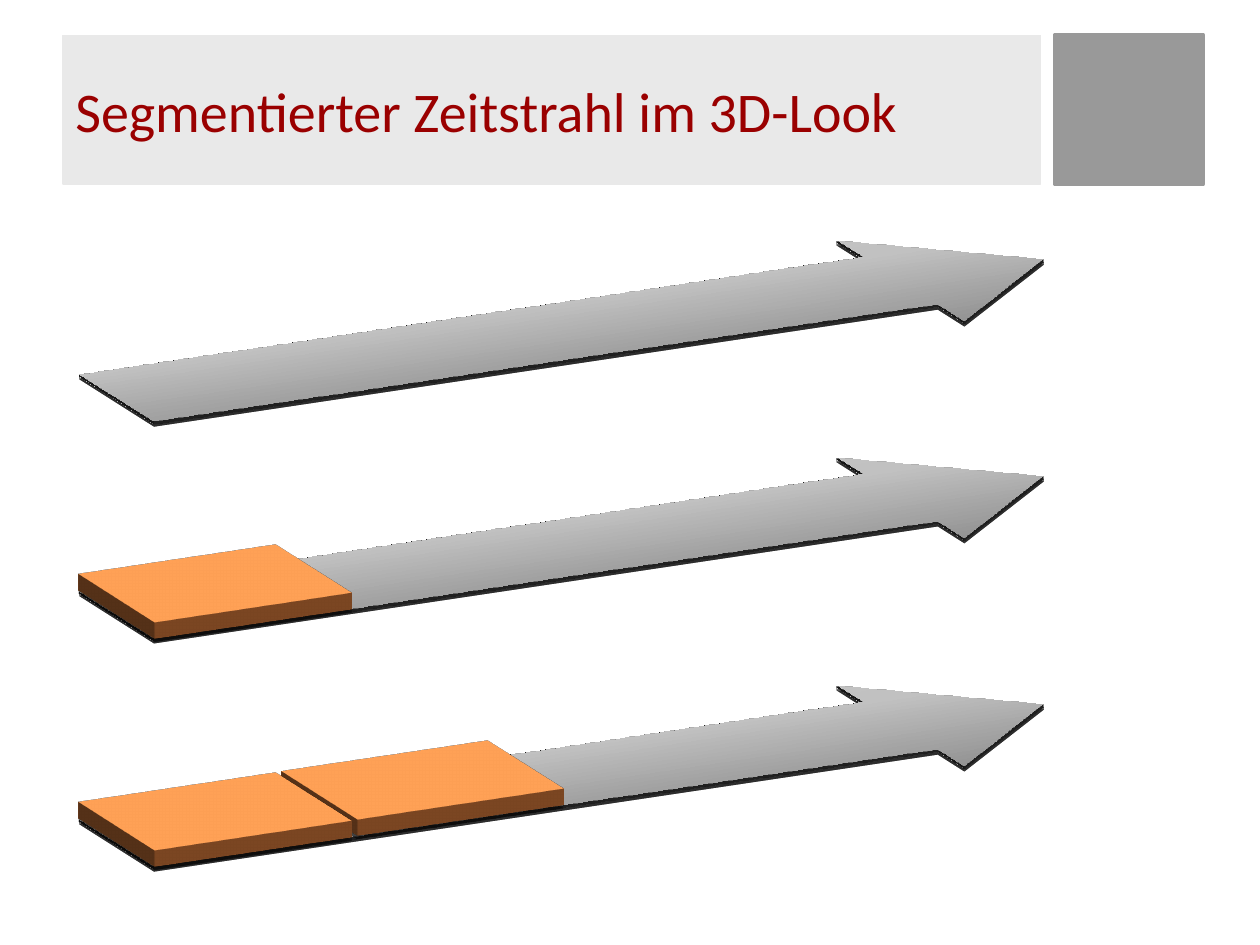
from dataclasses import dataclass

from lxml import etree
from pptx import Presentation
from pptx.dml.color import RGBColor
from pptx.enum.shapes import MSO_SHAPE
from pptx.enum.text import MSO_ANCHOR, PP_ALIGN
from pptx.util import Cm, Pt

RECT = MSO_SHAPE.RECTANGLE
ARROW = MSO_SHAPE.RIGHT_ARROW
MIDDLE = MSO_ANCHOR.MIDDLE
LEFT = PP_ALIGN.LEFT

COLORS = {
    "title": "9A0000",
    "title_bar": "E9E9E9",
    "corner": "999999",
    "arrow_bottom": "949494",
    "arrow_middle": "C1C1C1",
    "arrow_top": "C2C2C2",
    "arrow_line": "C3C3C3",
    "arrow_side": "404040",
    "segment": "F78D44",
    "shadow": "000000",
}
NS = "http://schemas.openxmlformats.org/drawingml/2006/main"

ARROW_LEFT, ARROW_WIDTH, ARROW_HEIGHT = 1.3, 20.8, 5.87
ARROW_DEPTH, SEGMENT_DEPTH = Pt(1.5), Pt(10)


@dataclass(frozen=True)
class Segment:
    """A block on the arrow; dy is measured from the top of the arrow."""
    left: float
    dy: float
    width: float
    height: float = 3.5


@dataclass(frozen=True)
class Timeline:
    top: float
    segments: tuple[Segment, ...] = ()


FIRST = Segment(2.13, 1.96, 4.42)
SECOND = Segment(6.2, 1.32, 4.62)
TIMELINES = (
    Timeline(3.68),
    Timeline(8.05, (FIRST,)),
    Timeline(12.65, (SECOND, FIRST)),
)


def rgb(name: str) -> RGBColor:
    return RGBColor.from_string(COLORS[name])


def append_xml(s, xml: str) -> None:
    s._element.spPr.append(etree.fromstring(xml))


def add_3d(s, depth: int, side: str) -> None:
    """Give the shape a soft shadow and a tilted, extruded body."""
    append_xml(s, f'<a:effectLst xmlns:a="{NS}">'
               '<a:outerShdw blurRad="40000" dist="23000" dir="5400000" rotWithShape="0">'
               f'<a:srgbClr val="{COLORS["shadow"]}"><a:alpha val="35000"/></a:srgbClr>'
               '</a:outerShdw></a:effectLst>')
    append_xml(s, f'<a:scene3d xmlns:a="{NS}"><a:camera prst="isometricOffAxis1Top"/>'
               '<a:lightRig rig="threePt" dir="t"/></a:scene3d>')
    append_xml(s, f'<a:sp3d xmlns:a="{NS}" extrusionH="{depth}"><a:extrusionClr>'
               f'<a:srgbClr val="{COLORS[side]}"/></a:extrusionClr></a:sp3d>')


def add_box(slide, left: float, top: float, width: float, height: float,
            color: str, line_width: float):
    s = slide.shapes.add_shape(RECT, Cm(left), Cm(top), Cm(width), Cm(height))
    s.shadow.inherit = False
    s.fill.solid()
    s.fill.fore_color.rgb = rgb(color)
    s.line.color.rgb = rgb(color)
    s.line.width = Pt(line_width)
    return s


def add_title(slide, text: str) -> None:
    s = add_box(slide, 1.27, 0.71, 19.71, 3, "title_bar", 0.75)
    tf = s.text_frame
    tf.word_wrap = True
    tf.vertical_anchor = MIDDLE
    p = tf.paragraphs[0]
    p.alignment = LEFT
    r = p.add_run()
    r.text = text
    r.font.name = "Calibri"
    r.font.size = Pt(32)
    r.font.color.rgb = rgb("title")


def add_arrow(slide, top: float) -> None:
    s = slide.shapes.add_shape(ARROW, Cm(ARROW_LEFT), Cm(top),
                               Cm(ARROW_WIDTH), Cm(ARROW_HEIGHT))
    s.adjustments[0] = 0.584
    s.adjustments[1] = 0.548
    stops = ((0, "arrow_bottom"), (80, "arrow_middle"), (100, "arrow_top"))
    gs = "".join(f'<a:gs pos="{pos * 1000}"><a:srgbClr val="{COLORS[name]}"/></a:gs>'
                 for pos, name in stops)
    append_xml(s, f'<a:gradFill xmlns:a="{NS}" rotWithShape="1"><a:gsLst>{gs}</a:gsLst>'
               '<a:lin ang="16200000" scaled="0"/></a:gradFill>')
    s.line.color.rgb = rgb("arrow_line")
    s.line.width = Pt(0.75)
    add_3d(s, ARROW_DEPTH, "arrow_side")


def add_segment(slide, segment: Segment, arrow_top: float) -> None:
    left, top = Cm(segment.left), Cm(arrow_top + segment.dy)
    right, bottom = left + Cm(segment.width), top + Cm(segment.height)
    builder = slide.shapes.build_freeform(left, top)
    builder.add_line_segments([(right, top), (right, bottom), (left, bottom)])
    s = builder.convert_to_shape()
    s.fill.solid()
    s.fill.fore_color.rgb = rgb("segment")
    s.line.fill.background()
    add_3d(s, SEGMENT_DEPTH, "segment")


def main() -> None:
    prs = Presentation()
    prs.slide_width, prs.slide_height = Cm(25.4), Cm(19.05)
    slide = prs.slides.add_slide(prs.slide_layouts[6])
    add_box(slide, 21.26, 0.71, 3, 3, "corner", 2)
    add_title(slide, "Segmentierter Zeitstrahl im 3D-Look")
    for timeline in TIMELINES:
        add_arrow(slide, timeline.top)
        for segment in timeline.segments:
            add_segment(slide, segment, timeline.top)
    prs.save("out.pptx")


if __name__ == "__main__":
    main()
